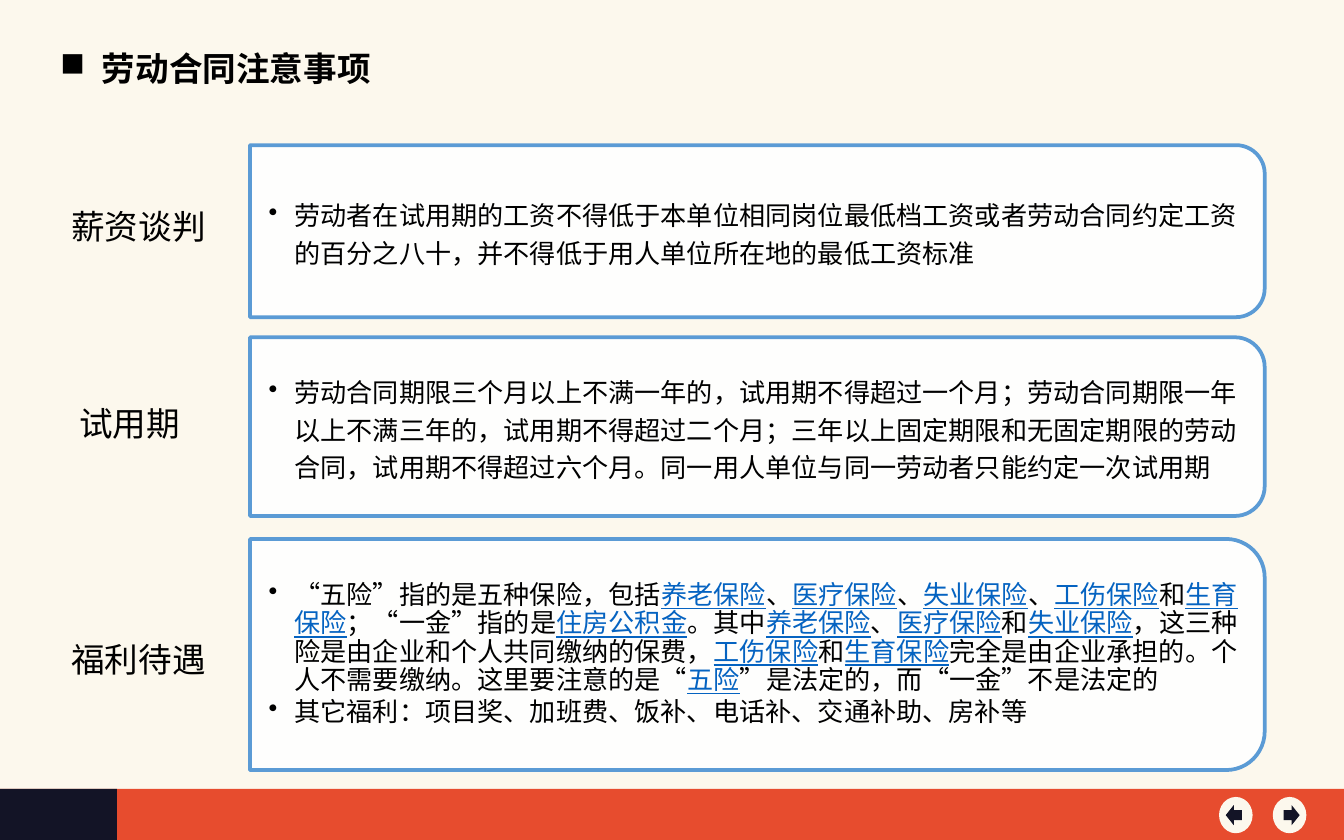
"""Build the slide on points to watch in a labour contract."""
from lxml.etree import SubElement
from pptx import Presentation
from pptx.dml.color import RGBColor
from pptx.enum.shapes import MSO_SHAPE
from pptx.enum.text import MSO_ANCHOR
from pptx.oxml.ns import qn
from pptx.util import Inches, Pt

FONT = "Noto Sans CJK SC"
BLACK, WHITE, CREAM = "000000", "FFFFFF", "FCF8ED"
RED, NAVY, BLUE, LINK = "E74C2E", "131426", "5B9BD5", "0563C1"

TITLE = "劳动合同注意事项"
TOPICS = [
    {"label": "薪资谈判", "label_at": (0.51, 1.55), "top": 1.08, "height": 1.28,
     "spacing": Pt(20),
     "points": ["劳动者在试用期的工资不得低于本单位相同岗位最低档工资或者劳动合同约定工资"
                "的百分之八十，并不得低于用人单位所在地的最低工资标准"]},
    {"label": "试用期", "label_at": (0.57, 3.02), "top": 2.51, "height": 1.33,
     "spacing": Pt(20),
     "points": ["劳动合同期限三个月以上不满一年的，试用期不得超过一个月；劳动合同期限一年"
                "以上不满三年的，试用期不得超过二个月；三年以上固定期限和无固定期限的劳动"
                "合同，试用期不得超过六个月。同一用人单位与同一劳动者只能约定一次试用期"]},
    {"label": "福利待遇", "label_at": (0.51, 4.77), "top": 4.01, "height": 1.72,
     "spacing": 0.9,
     "points": ["“五险”指的是五种保险，包括|养老保险|、|医疗保险|、|失业保险|、|工伤保险|和"
                "|生育保险|；“一金”指的是|住房公积金|。其中|养老保险|、|医疗保险|和"
                "|失业保险|，这三种险是由企业和个人共同缴纳的保费，|工伤保险|和|生育保险|"
                "完全是由企业承担的。个人不需要缴纳。这里要注意的是“|五险|”是法定的，"
                "而“一金”不是法定的",
                "其它福利：项目奖、加班费、饭补、电话补、交通补助、房补等"]},
]
FOOTER = [(0, 10, RED), (0, 0.87, NAVY)]
BUTTONS = [(9.47, 0.08, MSO_SHAPE.RIGHT_ARROW), (9.07, 0.05, MSO_SHAPE.LEFT_ARROW)]
PANEL_LEFT, PANEL_WIDTH = 1.86, 7.55


def rgb(color):
    return RGBColor.from_string(color)


def add_block(slide, kind, left, top, width, height, color):
    block = slide.shapes.add_shape(
        kind, Inches(left), Inches(top), Inches(width), Inches(height))
    block.shadow.inherit = False
    block.fill.solid()
    block.fill.fore_color.rgb = rgb(color)
    block.line.fill.background()
    return block


def add_panel(slide, top, height):
    left = PANEL_LEFT + (PANEL_WIDTH - height) / 2
    panel = add_block(slide, MSO_SHAPE.ROUND_2_SAME_RECTANGLE, left,
                      top + (height - PANEL_WIDTH) / 2, height, PANEL_WIDTH, WHITE)
    panel.rotation = 90
    panel.line.color.rgb = rgb(BLUE)
    panel.line.width = Pt(2)
    white = panel._element.spPr.find(qn("a:solidFill")).find(qn("a:srgbClr"))
    SubElement(white, qn("a:alpha"), val="90000")


def add_text(slide, box, points, size, insets=(0.02,) * 4, spacing=0.9, after=0,
             bullet=None, indent=0, bold=False, wrap=True):
    frame = slide.shapes.add_textbox(*map(Inches, box)).text_frame
    frame.word_wrap = wrap
    frame.vertical_anchor = MSO_ANCHOR.MIDDLE
    (frame.margin_left, frame.margin_top,
     frame.margin_right, frame.margin_bottom) = map(Inches, insets)
    for index, point in enumerate(points):
        paragraph = frame.paragraphs[0] if index == 0 else frame.add_paragraph()
        paragraph.line_spacing = spacing
        paragraph.space_after = Pt(after)
        font = paragraph.font
        font.name, font.size, font.bold = FONT, Pt(size), bold
        font.color.rgb = rgb(BLACK)
        properties = paragraph._p.get_or_add_pPr()
        defaults = properties.find(qn("a:defRPr"))
        SubElement(defaults, qn("a:ea"), typeface=FONT)
        if bullet:
            properties.set("marL", str(Inches(indent)))
            properties.set("indent", str(-Inches(indent)))
            mark = SubElement(properties, qn("a:buChar"), char=bullet)
            defaults.addprevious(mark)
        for position, words in enumerate(point.split("|")):
            run = paragraph.add_run()
            run.text = words
            if position % 2:
                run.font.underline = True
                run.font.color.rgb = rgb(LINK)


def main():
    deck = Presentation()
    deck.slide_width, deck.slide_height = Inches(10), Inches(6.25)
    slide = deck.slides.add_slide(deck.slide_layouts[6])
    slide.background.fill.solid()
    slide.background.fill.fore_color.rgb = rgb(CREAM)

    for left, width, color in FOOTER:
        add_block(slide, MSO_SHAPE.RECTANGLE, left, 5.87, width, 0.38, color)

    for topic in TOPICS:
        top, height = topic["top"], topic["height"]
        add_text(slide, (*topic["label_at"], 1.35, 0.3), [topic["label"]], 18, after=6.3)
        add_panel(slide, top, height)
        add_text(slide, (PANEL_LEFT, top + 0.07, 7.47, height - 0.14), topic["points"], 14,
                 insets=(0.14, 0.01, 0.01, 0.01), spacing=topic["spacing"], after=2.1,
                 bullet="•", indent=0.19)

    for left, offset, arrow in BUTTONS:
        add_block(slide, MSO_SHAPE.OVAL, left, 5.93, 0.25, 0.27, CREAM)
        add_block(slide, arrow, left + offset, 5.99, 0.12, 0.15, NAVY)

    add_text(slide, (0.35, 0.31, 2.54, 0.4), [TITLE], 18, insets=(0.1, 0.05, 0.1, 0.05),
             spacing=1.0, bullet="■", indent=0.31, bold=True, wrap=False)
    deck.save("out.pptx")


if __name__ == "__main__":
    main()
